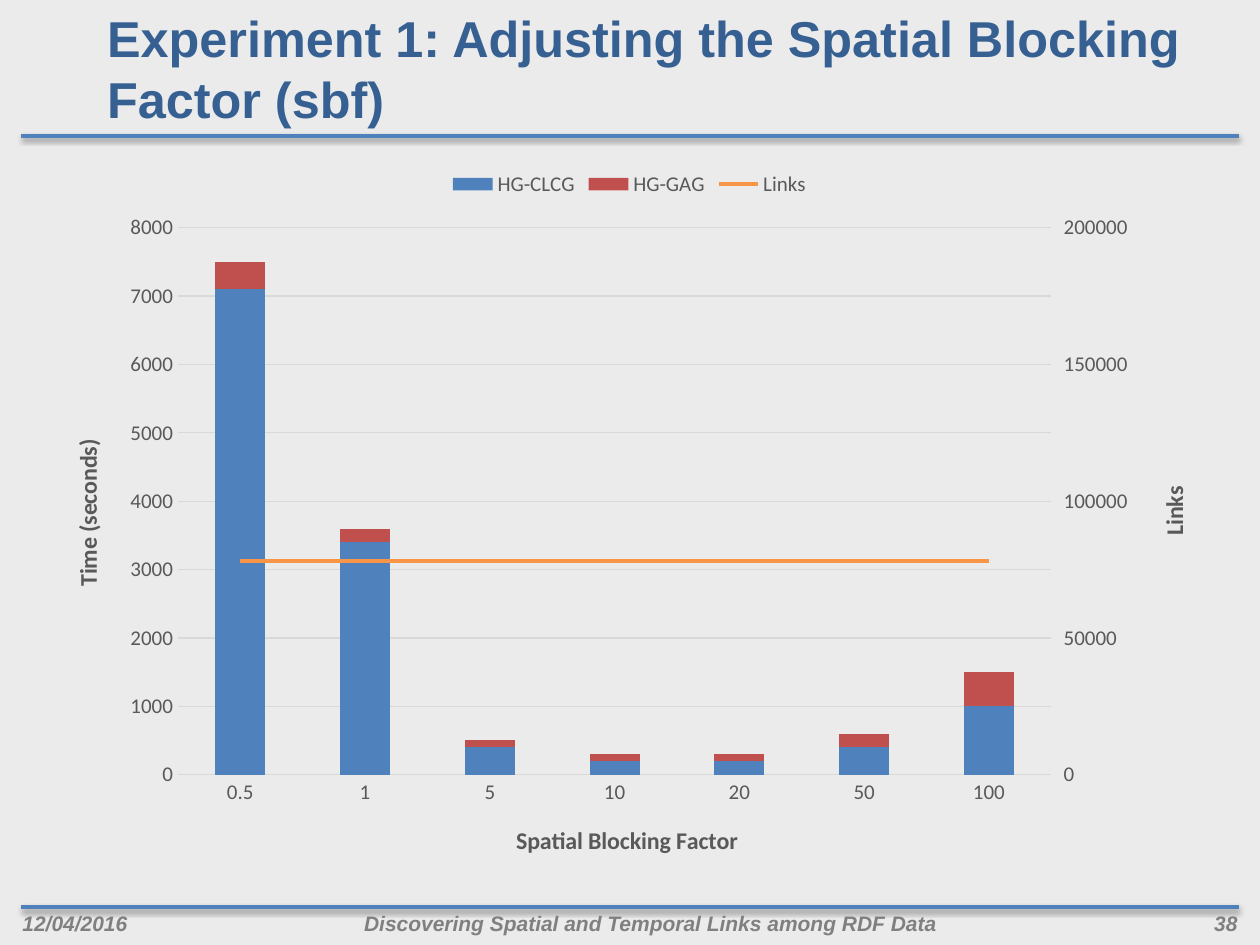
import pptx
import pptx.chart.axis
import pptx.chart.data
import pptx.dml.color
import pptx.enum.chart
import pptx.enum.shapes
import pptx.enum.text
import pptx.oxml
import pptx.oxml.ns
import pptx.util

Inches, Pt = pptx.util.Inches, pptx.util.Pt
qn, nsdecls = pptx.oxml.ns.qn, pptx.oxml.ns.nsdecls
color = pptx.dml.color.RGBColor.from_string
ALIGN = pptx.enum.text.PP_ALIGN
TICK = pptx.enum.chart.XL_TICK_MARK


def place(parent, x, y, width=None, height=None, target=""):
    """Give a chart part a fixed position, as fractions of the chart."""
    for layout in parent.findall(qn("c:layout")):
        parent.remove(layout)
    sizes = "" if width is None else f'<c:w val="{width}"/><c:h val="{height}"/>'
    layout = pptx.oxml.parse_xml(
        f'<c:layout {nsdecls("c")}><c:manualLayout>{target}'
        f'<c:xMode val="edge"/><c:yMode val="edge"/>'
        f'<c:x val="{x}"/><c:y val="{y}"/>{sizes}</c:manualLayout></c:layout>')
    text = parent.find(qn("c:tx"))
    if text is None:
        parent.insert(0, layout)
    else:
        text.addnext(layout)


def style_font(font, size, hex_color, name, bold=False, italic=False):
    font.size, font.name = Pt(size), name
    font.bold, font.italic = bold, italic
    font.color.rgb = color(hex_color)


presentation = pptx.Presentation()
presentation.slide_width, presentation.slide_height = Inches(10), Inches(7.5)
slide = presentation.slides.add_slide(presentation.slide_layouts[5])
slide.background.fill.solid()
slide.background.fill.fore_color.rgb = color("EBEBEB")

# Rules under the title and above the footer
for y in (1.08, 7.2):
    rule = slide.shapes.add_connector(
        pptx.enum.shapes.MSO_CONNECTOR.STRAIGHT,
        Inches(9.83), Inches(y), Inches(0.17), Inches(y))
    rule.line.color.rgb = color("4F81BD")
    rule.line.width = Pt(2)
    rule._element.spPr.append(pptx.oxml.parse_xml(
        f'<a:effectLst {nsdecls("a")}><a:outerShdw blurRad="39370" dist="20320" '
        'dir="5400000" rotWithShape="0"><a:srgbClr val="000000">'
        '<a:alpha val="38000"/></a:srgbClr></a:outerShdw></a:effectLst>'))

# Title
title = slide.shapes.title
title.left, title.top = Inches(0.75), Inches(0.04)
title.width, title.height = Inches(9.08), Inches(1)
title.text_frame.word_wrap = True
title.text_frame.auto_size = pptx.enum.text.MSO_AUTO_SIZE.NONE
title.text_frame.vertical_anchor = pptx.enum.text.MSO_ANCHOR.MIDDLE
paragraph = title.text_frame.paragraphs[0]
paragraph.alignment = ALIGN.LEFT
run = paragraph.add_run()
run.text = "Experiment 1: Adjusting the Spatial Blocking Factor (sbf)"
style_font(run.font, 28.8, "376092", "Arial", bold=True)

# Footer: date, talk title, slide number
for left, width, alignment, text in (
        (0.08, 1.17, ALIGN.LEFT, "12/04/2016"),
        (1.5, 7.33, ALIGN.CENTER,
         "Discovering Spatial and Temporal Links among RDF Data"),
        (9.3, 0.62, ALIGN.RIGHT, "38")):
    box = slide.shapes.add_textbox(
        Inches(left), Inches(7.18), Inches(width), Inches(0.32))
    box.text_frame.word_wrap = True
    paragraph = box.text_frame.paragraphs[0]
    paragraph.alignment = alignment
    run = paragraph.add_run()
    run.text = text
    style_font(run.font, 12, "808080", "Arial", bold=True, italic=True)

# Chart: stacked times, with the number of links on a second axis
data = pptx.chart.data.CategoryChartData()
data.categories = ["0.5", "1", "5", "10", "20", "50", "100"]
data.add_series("HG-CLCG", (7100, 3400, 400, 200, 200, 400, 1000))
data.add_series("HG-GAG", (400, 200, 100, 100, 100, 200, 500))
data.add_series("Links", [78000] * 7)
chart = slide.shapes.add_chart(
    pptx.enum.chart.XL_CHART_TYPE.COLUMN_STACKED,
    Inches(0.33), Inches(1.25), Inches(9.33), Inches(5.75), data).chart
chart.has_title = False
style_font(chart.font, 12, "595959", "Calibri")
chart.has_legend = True
chart.legend.position = pptx.enum.chart.XL_LEGEND_POSITION.TOP
chart.legend.include_in_layout = False
style_font(chart.legend.font, 12, "595959", "Calibri")

columns = chart.plots[0]
columns.gap_width, columns.overlap = 150, 100
columns.vary_by_categories = False
for series, fill in zip(columns.series, ("4F81BD", "C0504D")):
    series.format.fill.solid()
    series.format.fill.fore_color.rgb = color(fill)

# Take the left axis while it is the only value axis
category_axis, left_axis = chart.category_axis, chart.value_axis

# Move the links to a line plot with its own axes
plot_area = chart._chartSpace.chart.plotArea
bar_chart = plot_area.find(qn("c:barChart"))
links = bar_chart.findall(qn("c:ser"))[-1]
for element in links.findall(qn("c:invertIfNegative")):
    links.remove(element)
line_chart = pptx.oxml.parse_xml(
    f'<c:lineChart {nsdecls("c")}><c:grouping val="standard"/>'
    '<c:varyColors val="0"/><c:marker val="1"/>'
    '<c:axId val="5001"/><c:axId val="5002"/></c:lineChart>')
line_chart.insert(2, links)
bar_chart.addnext(line_chart)
right_element = pptx.oxml.parse_xml(
    f'<c:valAx {nsdecls("c")}><c:axId val="5002"/>'
    '<c:scaling><c:orientation val="minMax"/></c:scaling><c:delete val="0"/>'
    '<c:axPos val="r"/><c:numFmt formatCode="General" sourceLinked="0"/>'
    '<c:majorTickMark val="out"/><c:minorTickMark val="none"/>'
    '<c:tickLblPos val="nextTo"/><c:crossAx val="5001"/>'
    '<c:crosses val="max"/></c:valAx>')
hidden_element = pptx.oxml.parse_xml(
    f'<c:catAx {nsdecls("c")}><c:axId val="5001"/>'
    '<c:scaling><c:orientation val="minMax"/></c:scaling><c:delete val="1"/>'
    '<c:axPos val="b"/><c:crossAx val="5002"/>'
    '<c:crosses val="autoZero"/></c:catAx>')
plot_area.find(qn("c:valAx")).addnext(right_element)
right_element.addnext(hidden_element)
right_axis = pptx.chart.axis.ValueAxis(right_element)

links_series = chart.plots[1].series[0]
links_series.smooth = False
links_series.marker.style = pptx.enum.chart.XL_MARKER_STYLE.NONE
links_series.format.line.color.rgb = color("F79646")
links_series.format.line.width = Pt(2.25)

# Axes and their titles
for axis, text, x, y, rotation, tick in (
        (category_axis, "Spatial Blocking Factor", 0.4, 0.915, 0, TICK.NONE),
        (left_axis, "Time (seconds)", 0.022, 0.383, -5400000, TICK.NONE),
        (right_axis, "Links", 0.946, 0.448, -5400000, TICK.OUTSIDE)):
    axis.major_tick_mark, axis.minor_tick_mark = tick, TICK.NONE
    style_font(axis.tick_labels.font, 12, "595959", "Calibri")
    axis.format.line.fill.background()
    run = axis.axis_title.text_frame.paragraphs[0].add_run()
    run.text = text
    style_font(run.font, 13.7, "595959", "Calibri", bold=True)
    title_element = axis.axis_title._element
    title_element.find(".//" + qn("a:bodyPr")).set("rot", str(rotation))
    place(title_element, x, y)

for line in (category_axis.format.line, left_axis.major_gridlines.format.line):
    line.color.rgb = color("D9D9D9")
    line.width = Pt(0.75)
for axis, maximum, step in ((left_axis, 8000, 1000),
                            (right_axis, 200000, 50000)):
    axis.minimum_scale, axis.maximum_scale, axis.major_unit = 0, maximum, step
place(plot_area, 0.116, 0.097, 0.743, 0.755, '<c:layoutTarget val="inner"/>')

presentation.save("out.pptx")
